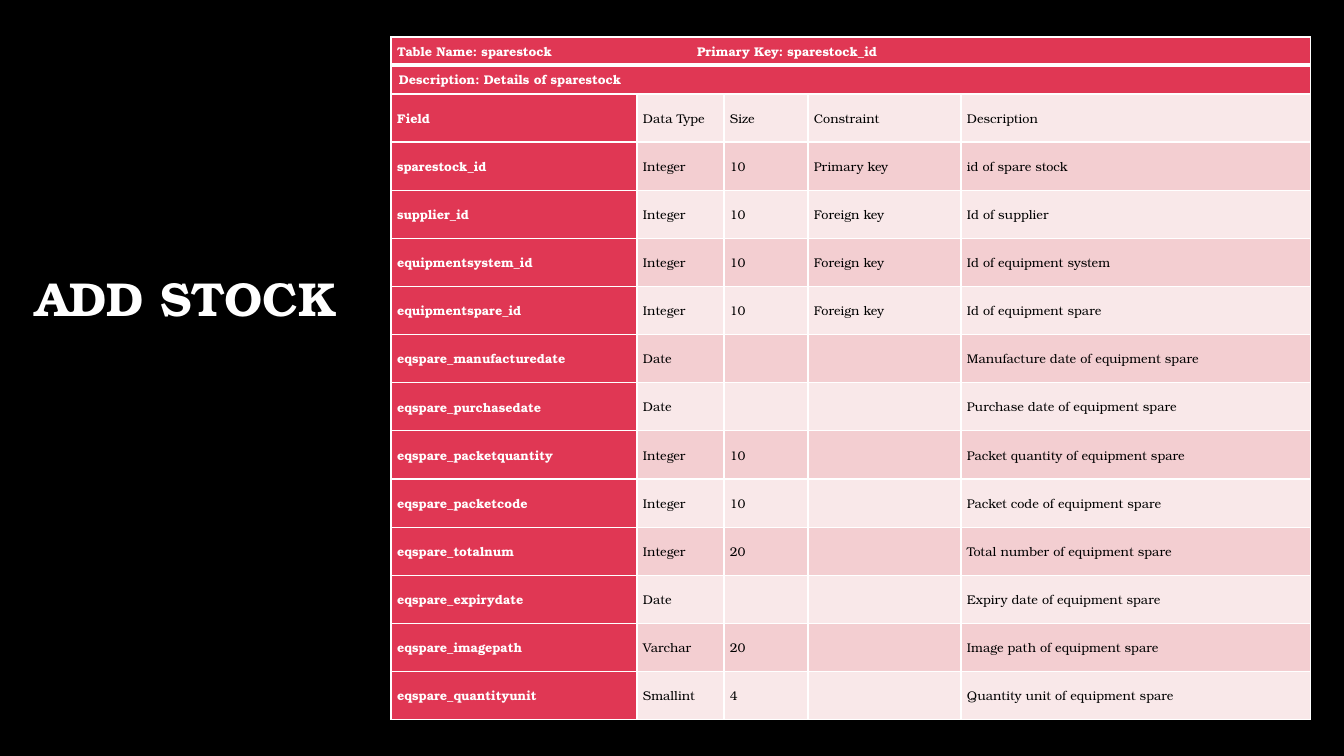
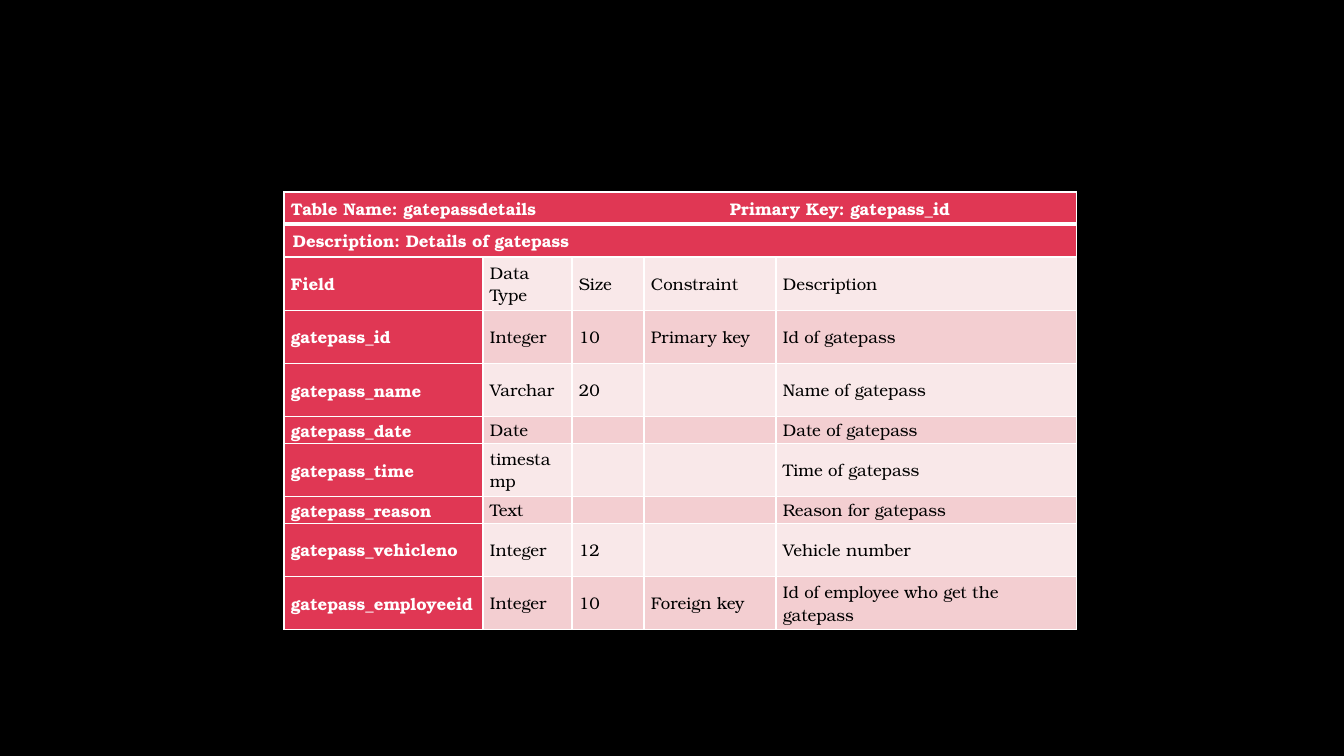
"""Build two slides that describe database tables."""
from dataclasses import dataclass
from typing import Any

from lxml import etree
from pptx import Presentation
from pptx.dml.color import RGBColor
from pptx.enum.text import MSO_ANCHOR, PP_ALIGN
from pptx.oxml.ns import qn
from pptx.util import Pt

MIDDLE = MSO_ANCHOR.MIDDLE
CENTER = PP_ALIGN.CENTER
SCALE = 914400 / 100.8
FONT = "TeX Gyre Bonum"
BLACK, WHITE, RED = "000000", "FFFFFF", "E03754"
BANDS = ("F9E8E9", "F3CED1")
HEADS = ("Field", "Data Type", "Size", "Constraint", "Description")
SIDES = ("L", "R", "T", "B")
PLAIN = {"first_row": False, "horz_banding": False}


@dataclass(frozen=True)
class Row:
    field: str
    kind: str
    size: str
    rule: str
    note: str
    weight: int = 1

    def texts(self) -> tuple[str, ...]:
        return self.field, self.kind, self.size, self.rule, self.note


@dataclass(frozen=True)
class Grid:
    name: str
    key: str
    about: str
    left: int
    top: int
    cols: tuple[int, ...]
    bars: tuple[int, int]
    body: int
    inset: int
    tab: int
    points: int
    rows: tuple[Row, ...]


STOCK = Grid(
    "sparestock", "sparestock_id", "sparestock", 391, 37,
    (246, 87, 84, 153, 350), (28, 29), 626, 6, 300, 9,
    (
        Row(*HEADS),
        Row("sparestock_id", "Integer", "10", "Primary key", "id of spare stock"),
        Row("supplier_id", "Integer", "10", "Foreign key", "Id of supplier"),
        Row("equipmentsystem_id", "Integer", "10", "Foreign key", "Id of equipment system"),
        Row("equipmentspare_id", "Integer", "10", "Foreign key", "Id of equipment spare"),
        Row("eqspare_manufacturedate", "Date", "", "", "Manufacture date of equipment spare"),
        Row("eqspare_purchasedate", "Date", "", "", "Purchase date of equipment spare"),
        Row("eqspare_packetquantity", "Integer", "10", "", "Packet quantity of equipment spare"),
        Row("eqspare_packetcode", "Integer", "10", "", "Packet code of equipment spare"),
        Row("eqspare_totalnum", "Integer", "20", "", "Total number of equipment spare"),
        Row("eqspare_expirydate", "Date", "", "", "Expiry date of equipment spare"),
        Row("eqspare_imagepath", "Varchar", "20", "", "Image path of equipment spare"),
        Row("eqspare_quantityunit", "Smallint", "4", "", "Quantity unit of equipment spare"),
    ),
)
PASS = Grid(
    "gatepassdetails", "gatepass_id", "gatepass", 284, 192,
    (199, 89, 72, 132, 301), (32, 33), 373, 7, 439, 12,
    (
        Row(*HEADS, 2),
        Row("gatepass_id", "Integer", "10", "Primary key", "Id of gatepass", 2),
        Row("gatepass_name", "Varchar", "20", "", "Name of gatepass", 2),
        Row("gatepass_date", "Date", "", "", "Date of gatepass"),
        Row("gatepass_time", "timestamp", "", "", "Time of gatepass", 2),
        Row("gatepass_reason", "Text", "", "", "Reason for gatepass"),
        Row("gatepass_vehicleno", "Integer", "12", "", "Vehicle number", 2),
        Row("gatepass_employeeid", "Integer", "10", "Foreign key",
            "Id of employee who get the gatepass", 2),
    ),
)


def px(count: int) -> int:
    return round(count * SCALE)


def tint(code: str) -> RGBColor:
    return RGBColor.from_string(code)


def apply(item: Any, values: dict[str, Any]) -> None:
    for name, value in values.items():
        setattr(item, name, value)


def paint(item: Any, code: str) -> None:
    item.fill.solid()
    item.fill.fore_color.rgb = tint(code)


def write(para: Any, text: str, points: int, code: str, bold: bool) -> None:
    run = para.add_run()
    run.text = text
    apply(run.font, {"name": FONT, "size": Pt(points), "bold": bold})
    run.font.color.rgb = tint(code)


def edge(cell: Any, side: str, width: int) -> None:
    props = cell._tc.get_or_add_tcPr()
    line = etree.SubElement(props, qn(f"a:ln{side}"), w=str(Pt(width)))
    fill = etree.SubElement(line, qn("a:solidFill"))
    etree.SubElement(fill, qn("a:srgbClr"), val=WHITE)


def draw_cell(cell: Any, text: str, grid: Grid, fill: str, lead: bool) -> None:
    inset = px(grid.inset)
    apply(cell, {"margin_left": inset, "margin_right": inset, "margin_top": 0,
                 "margin_bottom": 0, "vertical_anchor": MIDDLE})
    paint(cell, fill)
    para = cell.text_frame.paragraphs[0]
    if text:
        write(para, text, grid.points, WHITE if lead else BLACK, lead)
    else:
        end = etree.SubElement(para._p, qn("a:endParaRPr"))
        end.set("sz", str(grid.points * 100))


def draw_bar(table: Any, index: int, text: str, grid: Grid) -> Any:
    cell = table.cell(index, 0)
    cell.merge(table.cell(index, len(grid.cols) - 1))
    draw_cell(cell, text, grid, RED, True)
    return cell.text_frame.paragraphs[0]._p.get_or_add_pPr()


def draw_grid(slide: Any, grid: Grid) -> None:
    unit = px(grid.body) // sum(row.weight for row in grid.rows)
    highs = [px(bar) for bar in grid.bars] + [unit * row.weight for row in grid.rows]
    table = slide.shapes.add_table(
        len(highs), len(grid.cols), px(grid.left), px(grid.top),
        px(sum(grid.cols)), sum(highs)).table
    apply(table, PLAIN)
    for col, width in zip(table.columns, grid.cols):
        col.width = px(width)
    for index, high in enumerate(highs):
        table.rows[index].height = high
        for cell in table.rows[index].cells:
            for side in SIDES:
                thick = (index, side) in ((0, "B"), (1, "T"))
                edge(cell, side, 3 if thick else 1)

    props = draw_bar(table, 0, f"Table Name: {grid.name}\tPrimary Key: {grid.key}", grid)
    tabs = etree.SubElement(props, qn("a:tabLst"))
    etree.SubElement(tabs, qn("a:tab"), pos=str(px(grid.tab)), algn="l")
    props = draw_bar(table, 1, f"Description: Details of {grid.about}", grid)
    props.set("indent", str(px(2)))

    for index, row in enumerate(grid.rows):
        for col, text in enumerate(row.texts()):
            lead = col == 0
            fill = RED if lead else BANDS[index % 2]
            draw_cell(table.cell(index + 2, col), text, grid, fill, lead)


def draw_title(slide: Any, text: str) -> None:
    frame = slide.shapes.add_textbox(px(19), px(257), px(334), px(146)).text_frame
    apply(frame, {"word_wrap": True, "vertical_anchor": MIDDLE, "margin_bottom": px(62)})
    para = frame.paragraphs[0]
    apply(para, {"alignment": CENTER, "line_spacing": 0.9})
    write(para, text, 34, WHITE, True)


def add_slide(deck: Any, grid: Grid, title: str = "") -> None:
    slide = deck.slides.add_slide(deck.slide_layouts[6])
    paint(slide.background, BLACK)
    if title:
        draw_title(slide, title)
    draw_grid(slide, grid)


def main() -> None:
    deck = Presentation()
    apply(deck, {"slide_width": px(1344), "slide_height": px(756)})
    add_slide(deck, STOCK, "ADD STOCK")
    add_slide(deck, PASS)
    deck.save("out.pptx")


if __name__ == "__main__":
    main()
